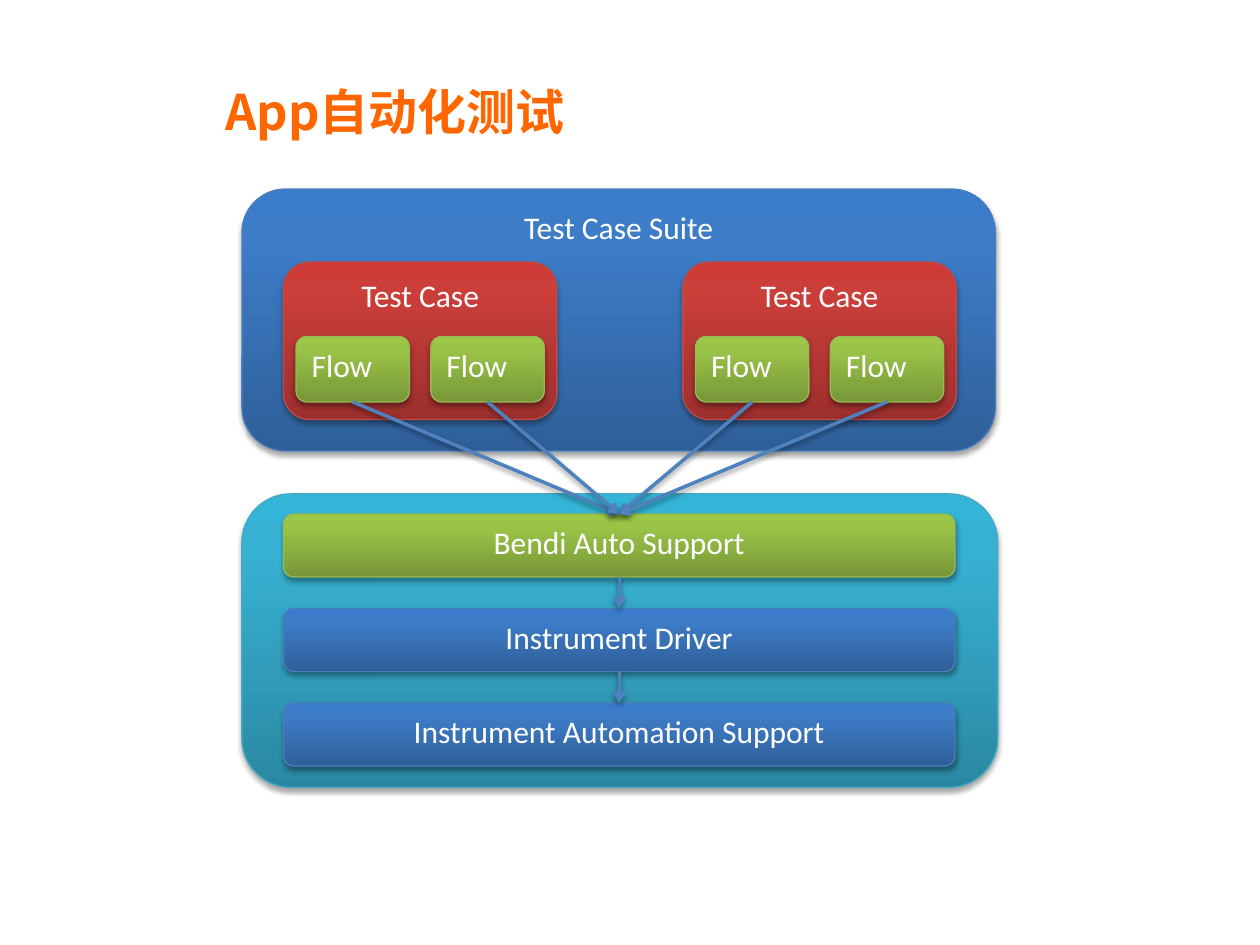
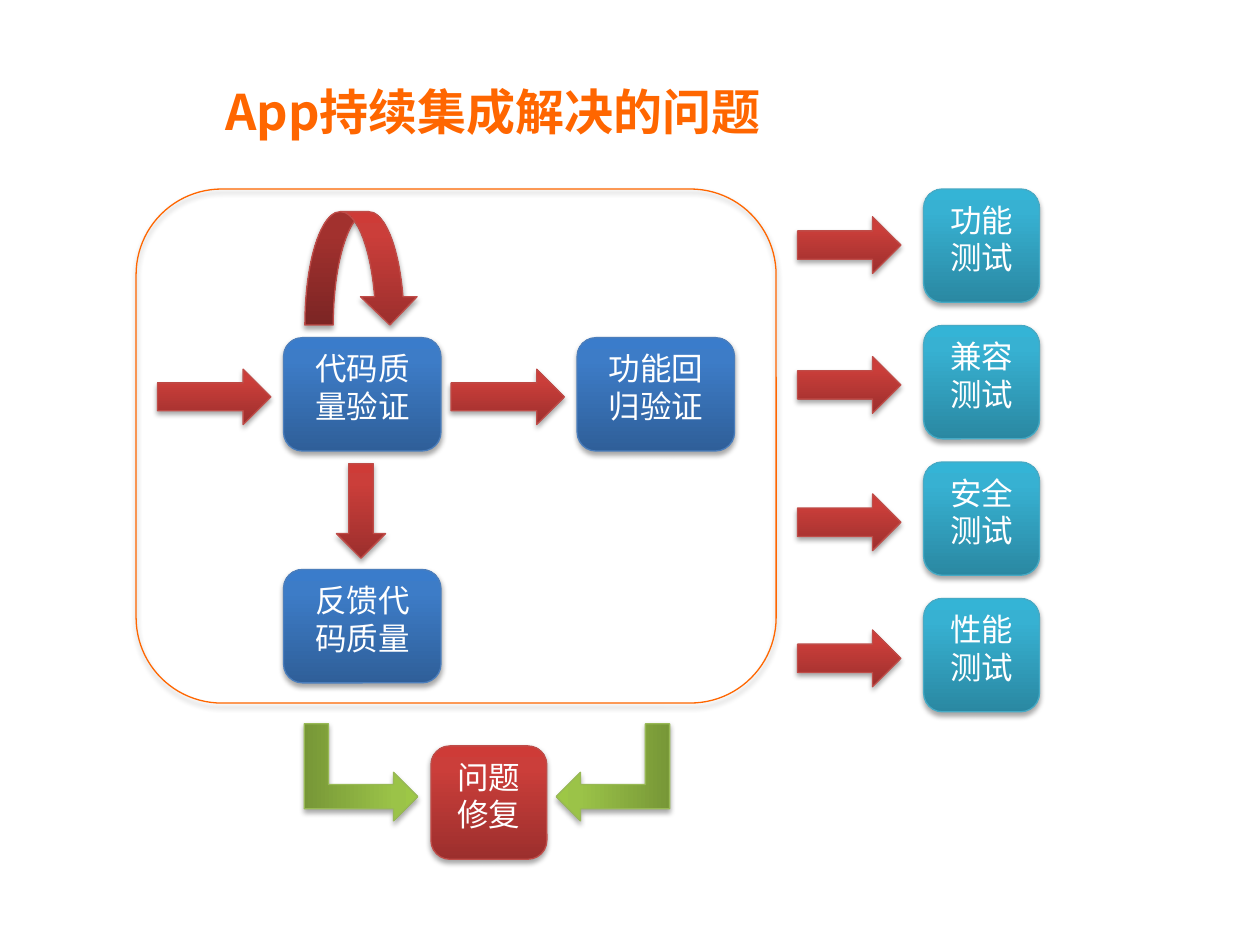
from copy import deepcopy
from dataclasses import dataclass

from lxml.etree import SubElement
from pptx import Presentation
from pptx.dml.color import RGBColor
from pptx.enum.shapes import MSO_CONNECTOR, MSO_SHAPE
from pptx.enum.text import MSO_ANCHOR, MSO_AUTO_SIZE, PP_ALIGN
from pptx.oxml.ns import qn
from pptx.shapes.autoshape import Shape
from pptx.slide import Slide
from pptx.util import Inches, Pt

COLORS = {"title": "FF6600", "text": "FFFFFF", "connector": "4F81BD", "shadow": "000000"}
LATIN_FONT = "Calibri"
CJK_FONT = "Noto Sans CJK SC"
TOP, BOTTOM = 0, 2


@dataclass(frozen=True)
class Style:
    stops: tuple[str, ...]
    line: str


BLUE = Style(("2F5F99", "3D7CC7", "3A7CCB"), "4B7EBC")
RED = Style(("9C2F2D", "CB3E3A", "CE3B37"), "BF4C48")
GREEN = Style(("779737", "9BC348", "9DC746"), "98B955")
TEAL = Style(("2A88A2", "37B1D2", "34B4D6"), "46AAC5")
OUTLINE = Style((), COLORS["title"])


@dataclass(frozen=True)
class Block:
    left: float
    top: float
    width: float
    height: float
    style: Style
    text: str = ""
    kind: MSO_SHAPE = MSO_SHAPE.ROUNDED_RECTANGLE
    align: PP_ALIGN = PP_ALIGN.CENTER
    rotation: int = 0
    flip: bool = False


def rgb(value: str) -> RGBColor:
    return RGBColor.from_string(value)


def add_text(tf, text: str, size: int, font: str, color: str, align: PP_ALIGN, bold: bool = False) -> None:
    tf.word_wrap = True
    p = tf.paragraphs[0]
    p.alignment = align
    r = p.add_run()
    r.text = text
    r.font.size = Pt(size)
    r.font.name = font
    r.font.bold = bold
    r.font.color.rgb = rgb(color)
    SubElement(r.font._element, qn("a:ea"), typeface=CJK_FONT)


def add_shadow(spPr, alpha: int, distance: float) -> None:
    effects = spPr.find(qn("a:effectLst"))
    if effects is None:
        effects = SubElement(spPr, qn("a:effectLst"))
    shadow = SubElement(effects, qn("a:outerShdw"), blurRad=str(Pt(3.1)),
                        dist=str(Pt(distance)), dir="5400000", rotWithShape="0")
    color = SubElement(shadow, qn("a:srgbClr"), val=COLORS["shadow"])
    SubElement(color, qn("a:alpha"), val=str(alpha * 1000))


def fill_gradient(sp: Shape, stops: tuple[str, ...]) -> None:
    sp.fill.gradient()
    sp.fill.gradient_angle = 90
    stop_list = sp._element.spPr.find(".//" + qn("a:gsLst"))
    stop_list.append(deepcopy(stop_list[-1]))
    for stop, color, position in zip(sp.fill.gradient_stops, stops, (0, 0.8, 1)):
        stop.color.rgb = rgb(color)
        stop.position = position


def add_block(s: Slide, block: Block) -> Shape:
    box = map(Inches, (block.left, block.top, block.width, block.height))
    sp = s.shapes.add_shape(block.kind, *box)
    sp.rotation = block.rotation
    if block.flip:
        sp._element.spPr.xfrm.set("flipH", "1")
    if block.style.stops:
        fill_gradient(sp, block.style.stops)
    else:
        sp.fill.background()
    sp.line.color.rgb = rgb(block.style.line)
    sp.line.width = Pt(0.75)
    sp.shadow.inherit = False
    add_shadow(sp._element.spPr, 35, 1.8)
    if block.text:
        sp.text_frame.vertical_anchor = MSO_ANCHOR.TOP
        add_text(sp.text_frame, block.text, 18, LATIN_FONT, COLORS["text"], block.align)
    return sp


def connect(s: Slide, source: Shape, target: Shape) -> None:
    line = s.shapes.add_connector(MSO_CONNECTOR.STRAIGHT, 0, 0, 0, 0)
    line.begin_connect(source, BOTTOM)
    line.end_connect(target, TOP)
    line.line.color.rgb = rgb(COLORS["connector"])
    line.line.width = Pt(2)
    spPr = line._element.spPr
    SubElement(spPr.find(qn("a:ln")), qn("a:tailEnd"), type="arrow")
    add_shadow(spPr, 38, 1.6)


def add_slide(prs: Presentation, title: str) -> Slide:
    s = prs.slides.add_slide(prs.slide_layouts[5])
    sp = s.shapes.title
    sp.left, sp.top, sp.width, sp.height = map(Inches, (1.69, 0.6, 6.17, 0.57))
    tf = sp.text_frame
    tf.vertical_anchor = MSO_ANCHOR.TOP
    tf.auto_size = MSO_AUTO_SIZE.SHAPE_TO_FIT_TEXT
    add_text(tf, title, 28, CJK_FONT, COLORS["title"], PP_ALIGN.LEFT, bold=True)
    return s


def build_architecture(prs: Presentation) -> None:
    s = add_slide(prs, "App自动化测试")
    add_block(s, Block(1.92, 3.92, 6, 2.33, TEAL))
    layers = [
        add_block(s, Block(2.25, 4.08 + 0.75 * i, 5.33, 0.5, style, text))
        for i, (text, style) in enumerate([
            ("Bendi Auto Support", GREEN),
            ("Instrument Driver", BLUE),
            ("Instrument Automation Support", BLUE),
        ])
    ]
    add_block(s, Block(1.92, 1.5, 5.98, 2.08, BLUE, "Test Case Suite"))
    flows = []
    for case_left in (2.25, 5.42):
        add_block(s, Block(case_left, 2.08, 2.17, 1.25, RED, "Test Case"))
        for offset in (0.1, 1.17):
            flow = Block(case_left + offset, 2.67, 0.9, 0.52, GREEN, "Flow", align=PP_ALIGN.LEFT)
            flows.append(add_block(s, flow))
    for flow in flows:
        connect(s, flow, layers[0])
    for upper, lower in zip(layers, layers[1:]):
        connect(s, upper, lower)


def build_integration(prs: Presentation) -> None:
    s = add_slide(prs, "App持续集成解决的问题")
    add_block(s, Block(1.08, 1.5, 5.08, 4.08, OUTLINE))
    for left, top, text in [
        (2.25, 2.68, "代码质量验证"),
        (4.58, 2.68, "功能回归验证"),
        (2.25, 4.52, "反馈代码质量"),
    ]:
        add_block(s, Block(left, top, 1.25, 0.9, BLUE, text))
    for left in (1.25, 3.58):
        add_block(s, Block(left, 2.93, 0.9, 0.44, RED, kind=MSO_SHAPE.RIGHT_ARROW))
    add_block(s, Block(2.42, 1.68, 0.9, 0.9, RED, kind=MSO_SHAPE.CURVED_DOWN_ARROW))
    add_block(s, Block(2.67, 3.68, 0.39, 0.75, RED, kind=MSO_SHAPE.DOWN_ARROW))

    tests = ("功能测试", "兼容测试", "安全测试", "性能测试")
    for i, (text, arrow_top) in enumerate(zip(tests, (1.72, 2.83, 3.92, 5))):
        add_block(s, Block(7.33, 1.5 + 3.25 * i / 3, 0.92, 0.9, TEAL, text))
        add_block(s, Block(6.33, arrow_top, 0.82, 0.45, RED, kind=MSO_SHAPE.RIGHT_ARROW))

    add_block(s, Block(3.42, 5.92, 0.92, 0.9, RED, "问题修复"))
    for left, rotation, flip in ((2.48, 90, False), (4.48, 270, True)):
        add_block(s, Block(left, 5.68, 0.77, 0.9, GREEN, kind=MSO_SHAPE.BENT_UP_ARROW,
                           rotation=rotation, flip=flip))


def main() -> None:
    prs = Presentation()
    prs.slide_width, prs.slide_height = Inches(10), Inches(7.5)
    build_architecture(prs)
    build_integration(prs)
    prs.save("out.pptx")


if __name__ == "__main__":
    main()
